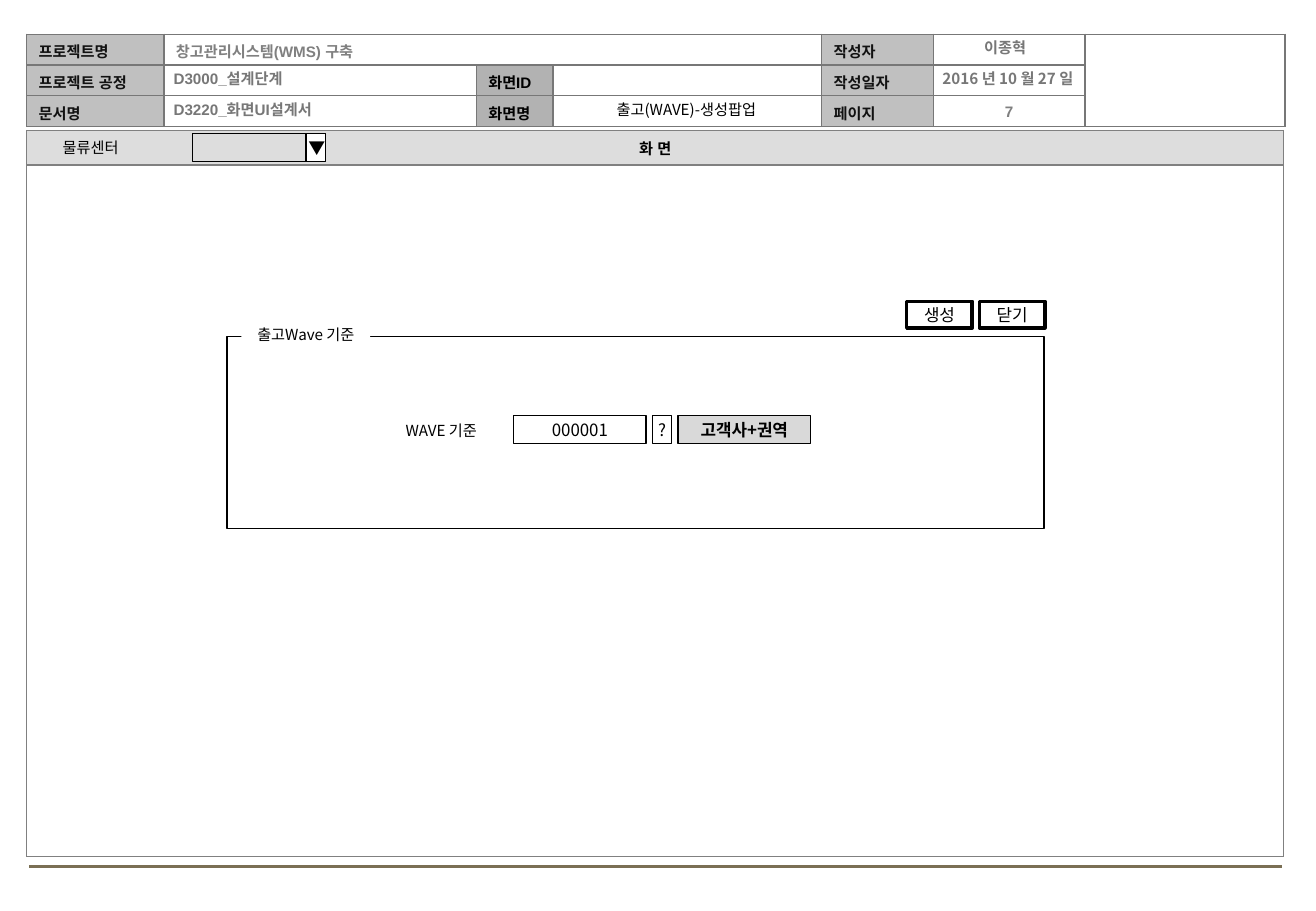
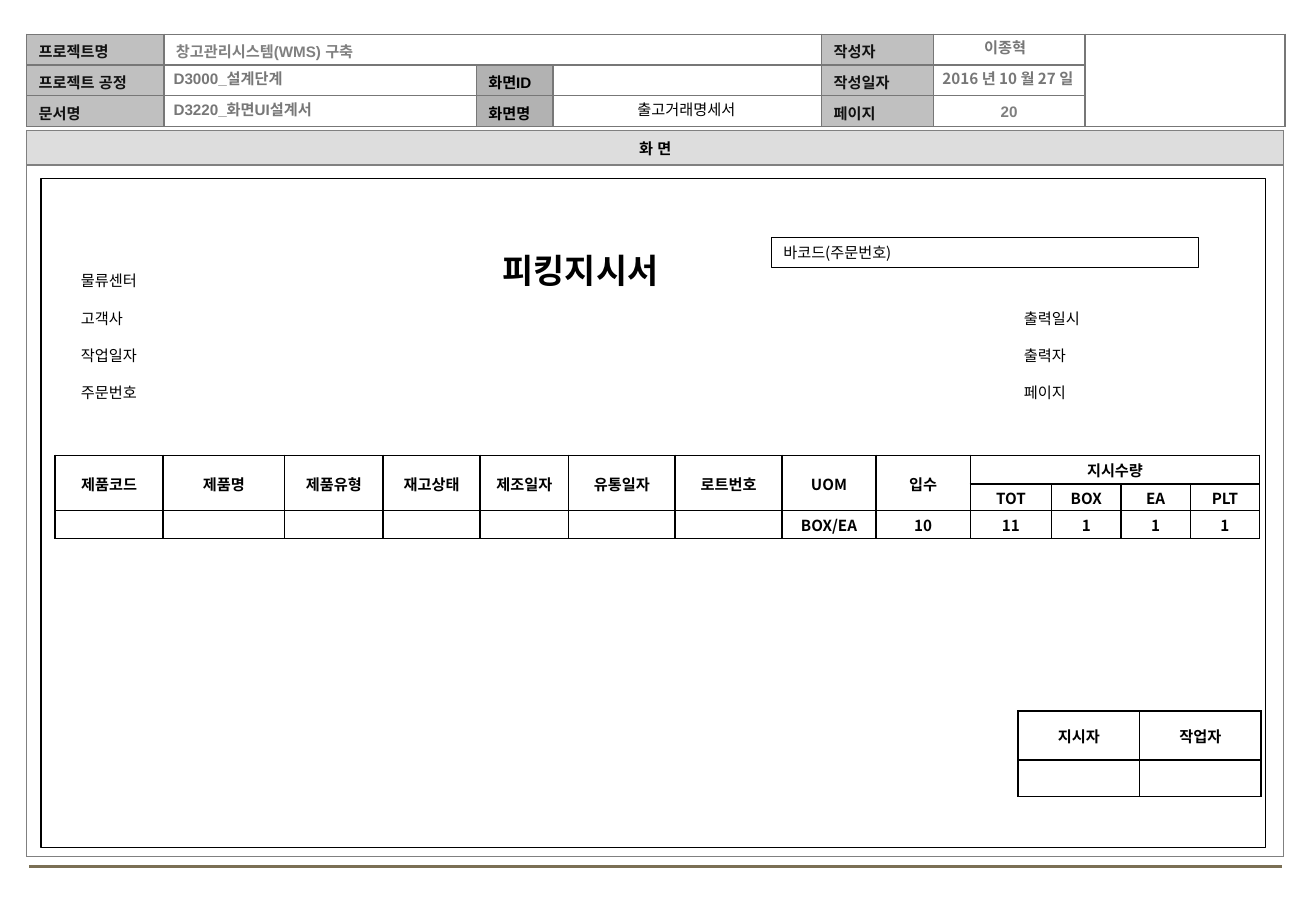
from lxml import etree
from pptx import Presentation
from pptx.dml.color import RGBColor
from pptx.enum.shapes import MSO_CONNECTOR, MSO_SHAPE
from pptx.enum.text import MSO_ANCHOR, MSO_AUTO_SIZE, PP_ALIGN
from pptx.oxml.ns import qn
from pptx.util import Cm, Pt

LEFT, CENTER = PP_ALIGN.LEFT, PP_ALIGN.CENTER
TOP, MIDDLE = MSO_ANCHOR.TOP, MSO_ANCHOR.MIDDLE
RECT, STRAIGHT = MSO_SHAPE.RECTANGLE, MSO_CONNECTOR.STRAIGHT

SANS, KOREAN, DISPLAY = "Arial", "Noto Sans CJK KR", "Cabin"
BLACK, WHITE, INK, GRAY = "000000", "FFFFFF", "111111", "777777"
PAGE_GRAY, EDGE_GRAY = "7F7F7F", "808080"
LABEL_FILL, SCREEN_FILL, BAND_FILL, FIELD_FILL = "C0C0C0", "B2B2B2", "DDDDDD", "D9D9D9"
RULE = "7A6F54"

PADDED, TIGHT = (0.25, 0.13), (0.05, 0.1)
HEADER_INSET, BAND_INSET, CELL_INSET = (0.25, 0.19, 0.07), (0.05, 0.08, 0), (0.03, 0.02, 0)
ROW = 0.64
HEADER_COLS = [2.87, 6.53, 1.6, 5.62, 2.34, 3.17, 4.18]
HEADER_CELLS = [
    ["프로젝트명", "창고관리시스템(WMS) 구축", "", "", "작성자", "", ""],
    ["프로젝트 공정", "", "화면ID", "", "작성일자", "", ""],
    ["문서명", "", "화면명", "", "페이지", "", ""],
]
PICKING_COLS = [2.26, 2.54, 2.06, 2.03, 1.85, 2.23, 2.23, 1.97, 1.97, 1.7, 1.45, 1.45, 1.45]
PICKING_CELLS = [
    ["제품코드", "제품명", "제품유형", "재고상태", "제조일자", "유통일자", "로트번호",
     "UOM", "입수", "지시수량", "", "", ""],
    [""] * 9 + ["TOT", "BOX", "EA", "PLT"],
    [""] * 7 + ["BOX/EA", "10", "11", "1", "1", "1"],
]


def rgb(color):
    return RGBColor.from_string(color)


def style(p, size=9, color=BLACK, font=KOREAN, bold=False, align=LEFT):
    p.alignment = align
    f = p.font
    f.size, f.bold = Pt(size), bold
    f.color.rgb = rgb(color)
    f.name = font
    props = p._p.get_or_add_pPr().find(qn("a:defRPr"))
    etree.SubElement(props, qn("a:ea"), typeface=font)


def write(sp, text, inset=PADDED, anchor=TOP, wrap=True, **look):
    tf = sp.text_frame
    tf.auto_size = MSO_AUTO_SIZE.NONE
    tf.word_wrap = wrap
    tf.vertical_anchor = anchor
    tf.margin_left = tf.margin_right = Cm(inset[0])
    tf.margin_top = tf.margin_bottom = Cm(inset[1])
    tf.text = text
    style(tf.paragraphs[0], **look)


def label(s, x, y, w, text, h=ROW, **look):
    write(s.shapes.add_textbox(Cm(x), Cm(y), Cm(w), Cm(h)), text, **look)


def box(s, x, y, w, h, text="", fill=None, line=BLACK, weight=0.75, **look):
    sp = s.shapes.add_shape(RECT, Cm(x), Cm(y), Cm(w), Cm(h))
    sp.shadow.inherit = False
    if fill:
        sp.fill.solid()
        sp.fill.fore_color.rgb = rgb(fill)
    else:
        sp.fill.background()
    if line:
        sp.line.color.rgb = rgb(line)
        sp.line.width = Pt(weight)
    else:
        sp.line.fill.background()
    if text:
        write(sp, text, **look)


def control(s, x, y, w, h, text, fill=WHITE, weight=0.75, bold=False, align=CENTER):
    box(s, x, y, w, h, text, fill=fill, weight=weight, inset=TIGHT, anchor=MIDDLE,
        wrap=False, size=10, bold=bold, align=align)


def border(cell, color):
    props = cell._tc.get_or_add_tcPr()
    for side in ("lnL", "lnR", "lnT", "lnB"):
        ln = etree.SubElement(props, qn("a:" + side), w=str(Pt(1)))
        fill = etree.SubElement(ln, qn("a:solidFill"))
        etree.SubElement(fill, qn("a:srgbClr"), val=color)


def grid(s, x, y, cols, rows, cells, edge, look, inset=CELL_INSET, merges=()):
    frame = s.shapes.add_table(len(rows), len(cols), Cm(x), Cm(y), Cm(sum(cols)), Cm(sum(rows)))
    table = frame.table
    for col, w in zip(table.columns, cols):
        col.width = Cm(w)
    for row, h in zip(table.rows, rows):
        row.height = Cm(h)
    for r, texts in enumerate(cells):
        for c, text in enumerate(texts):
            cell = table.cell(r, c)
            border(cell, edge)
            fill, font = look(r, c)
            if fill:
                cell.fill.solid()
                cell.fill.fore_color.rgb = rgb(fill)
            else:
                cell.fill.background()
            cell.vertical_anchor = MIDDLE
            cell.margin_left = cell.margin_right = Cm(inset[0])
            cell.margin_top, cell.margin_bottom = Cm(inset[1]), Cm(inset[2])
            p = cell.text_frame.paragraphs[0]
            if text:
                p.text = text
            else:
                p._p.get_or_add_endParaRPr().set("sz", "900")
            style(p, bold=True, **font)
    for r1, c1, r2, c2 in merges:
        table.cell(r1, c1).merge(table.cell(r2, c2))


def header_look(r, c):
    if c in (0, 4):
        return LABEL_FILL, dict(font=SANS, color=INK)
    if c == 2 and r > 0:
        return SCREEN_FILL, dict(font=SANS)
    return None, dict(font=SANS, color=EDGE_GRAY)


def band_look(r, c):
    return (None if r else BAND_FILL), dict(font=SANS, align=CENTER)


def plain_look(r, c):
    return None, dict(align=CENTER)


def header(s, x, y, screen, page):
    grid(s, x, y, HEADER_COLS, [ROW] * 3, HEADER_CELLS, GRAY, header_look, HEADER_INSET,
         [(0, 1, 0, 3), (0, 6, 2, 6)])
    tops = [y - 0.04 + ROW * i for i in range(3)]
    for top, text in zip(tops[1:], ["D3000_설계단계", "D3220_화면UI설계서"]):
        label(s, x + 2.82, top, 13.75, text, font=SANS, color=GRAY, bold=True)
    label(s, x + 18.95, tops[2] + 0.04, 3.18, page, font=SANS, color=PAGE_GRAY,
          bold=True, align=CENTER)
    for left, top, text in [(18.46, tops[0], "이종혁"), (18.52, tops[1], "2016 년 10 월 27 일")]:
        label(s, x + left, top, 3.99, text, color=GRAY, bold=True, align=CENTER)
    title = s.shapes.title
    title.left, title.top, title.width, title.height = Cm(x + 11.02), Cm(tops[2]), Cm(5.54), Cm(ROW)
    write(title, screen, align=CENTER)


def screen_slide(prs, screen, page):
    s = prs.slides.add_slide(prs.slide_layouts[5])
    rule = s.shapes.add_connector(STRAIGHT, Cm(0.61), Cm(18.12), Cm(26.81), Cm(18.12))
    rule.line.color.rgb = rgb(RULE)
    rule.line.width = Pt(1.75)
    etree.SubElement(rule._element.spPr, qn("a:effectLst"))
    header(s, 0.56, 0.72, screen, page)
    grid(s, 0.56, 2.73, [26.28], [0.72, 14.46], [["화 면"], [""]], EDGE_GRAY, band_look, BAND_INSET)
    return s


def center_picker(s, x, y):
    label(s, x, y, 2.97, "물류센터")
    box(s, x + 2.97, y + 0.03, 2.77, 0.58)
    control(s, x + 5.34, y + 0.03, 0.41, 0.58, "▼", align=LEFT)


def wave_popup(s, x, y, w, h):
    box(s, x, y, w, h)
    box(s, x + 0.3, y - 0.36, 2.69, ROW, "출고Wave 기준", fill=WHITE, line=None, align=CENTER)
    for left, text in [(w - 2.87, "생성"), (w - 1.35, "닫기")]:
        control(s, x + left, y - 0.74, 1.37, 0.56, text, weight=2)
    top = y + 1.65
    label(s, x + 3.48, top, 2.41, "WAVE 기준")
    control(s, x + 5.99, top, 2.77, 0.59, "000001")
    control(s, x + 8.89, top, 0.41, 0.59, "?")
    control(s, x + 9.43, top, 2.77, 0.59, "고객사+권역", fill=FIELD_FILL, bold=True)


def picking_sheet(s, x, y, w, h):
    box(s, x, y, w, h)
    label(s, x + 9.6, y + 1.39, 3.66, "피킹지시서", h=1.07, inset=TIGHT, wrap=False,
          size=20, font=DISPLAY, bold=True)
    box(s, x + 15.27, y + 1.23, 8.94, ROW, "바코드(주문번호)")
    for left, first, texts in [(0.58, 0, ["물류센터", "고객사", "작업일자", "주문번호"]),
                               (20.3, 1, ["출력일시", "출력자", "페이지"])]:
        for i, text in enumerate(texts, first):
            label(s, x + left, y + 1.82 + 0.78 * i, 2.18, text)
    merges = [(0, c, 1, c) for c in range(9)] + [(0, 9, 0, 12)]
    grid(s, x + 0.29, y + 5.79, PICKING_COLS, [0.6, 0.56, 0.58], PICKING_CELLS, BLACK,
         plain_look, merges=merges)
    grid(s, x + 20.43, y + 11.14, [2.54] * 2, [1.02, 0.77],
         [["지시자", "작업자"], ["", ""]], BLACK, plain_look)


def main():
    prs = Presentation()
    prs.slide_width, prs.slide_height = Pt(780), Pt(540)
    s = screen_slide(prs, "출고(WAVE)-생성팝업", "7")
    center_picker(s, 1.06, 2.77)
    wave_popup(s, 4.75, 7.04, 17.08, 4.02)
    s = screen_slide(prs, "출고거래명세서", "20")
    picking_sheet(s, 0.86, 3.73, 25.6, 13.99)
    prs.save("out.pptx")


if __name__ == "__main__":
    main()
